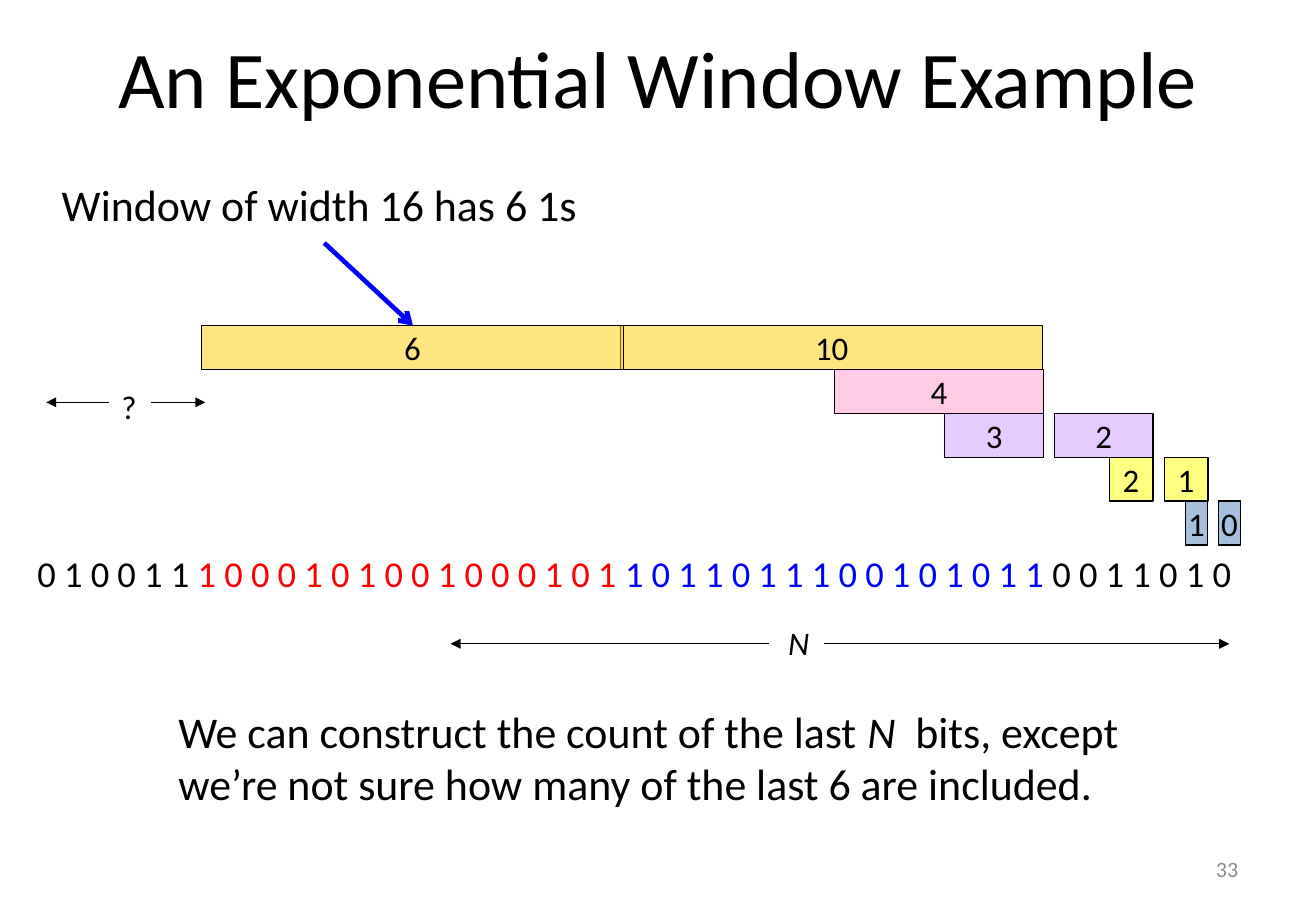
from lxml.etree import SubElement
from pptx import Presentation
from pptx.dml.color import RGBColor
from pptx.enum.shapes import MSO_CONNECTOR, MSO_SHAPE
from pptx.enum.text import MSO_ANCHOR as ANCHOR, PP_ALIGN as ALIGN
from pptx.oxml.ns import qn
from pptx.util import Pt

prs = Presentation()
prs.slide_width, prs.slide_height = Pt(780), Pt(540)
shapes = prs.slides.add_slide(prs.slide_layouts[6]).shapes


def rgb(value):
    return RGBColor.from_string(value)


def write(s, runs, size, align=ALIGN.LEFT, anchor=ANCHOR.TOP, wrap=True):
    """Fill a shape with one paragraph of (text, colour, italic) runs."""
    tf = s.text_frame
    tf.word_wrap, tf.vertical_anchor = wrap, anchor
    p = tf.paragraphs[0]
    p.alignment = align
    for text, color, italic in runs:
        r = p.add_run()
        r.text = text
        for name, value in {"name": "Calibri", "size": Pt(size), "italic": italic}.items():
            setattr(r.font, name, value)
        r.font.color.rgb = rgb(color)


# Text: left, top, width, height, runs, size, format
BLACK, RED, BLUE, GREY = "000000", "FF0000", "0000FF", "8C8C8C"
middle = {"anchor": ANCHOR.MIDDLE}
no_wrap = {"wrap": False}
texts = [
    (39, -3.6, 702, 97.2, [("An Exponential Window Example", BLACK, False)], 47.7,
     {"align": ALIGN.CENTER, **middle}),
    (29.5, 101.5, 325.5, 39, [("Window of width 16 has 6 1s", BLACK, False)], 26, no_wrap),
    (64.8, 225.4, 24, 31, [("?", BLACK, False)], 19.5, no_wrap),
    (15.1, 323.3, 740, 34, [
        ("0 1 0 0 1 1 ", BLACK, False),
        ("1 0 0 0 1 0 1 0 0 1 0 0 0 1 0 1 ", RED, False),
        ("1 0 1 1 0 1 1 1 0 0 1 0 1 0 1 1 ", BLUE, False),
        ("0 0 1 1 0 1 0", BLACK, False)], 21.6, {}),
    (460.1, 365.8, 27.4, 31, [("N", BLACK, True)], 19.5, no_wrap),
    (98.6, 414, 611.3, 70.6, [
        ("We can construct the count of the last ", BLACK, False),
        ("N", BLACK, True),
        ("  bits, except we’re not sure how many of the last 6 are included.", BLACK, False)],
     26, {}),
    (558.7, 500.4, 182.2, 28.8, [("33", GREY, False)], 13, {"align": ALIGN.RIGHT, **middle}),
]
for left, top, width, height, runs, size, fmt in texts:
    s = shapes.add_textbox(Pt(left), Pt(top), Pt(width), Pt(height))
    write(s, runs, size, **fmt)

# Bucket rows, from the widest down: colour, width, (left, count) pairs
BUCKET_TOP, BUCKET_STEP, BUCKET_HEIGHT = 193, 26, 26
bucket_rows = [
    ("FFCC00", 250, [(368, "10"), (119.5, "6")]),
    ("FF99CC", 124, [(494.6, "4")]),
    ("CC99FF", 58.5, [(560, "3"), (625, "2")]),
    ("FFFF00", 26, [(657.4, "2"), (690, "1")]),
    ("4F81BD", 13, [(702.7, "1"), (722.2, "0")]),
]
for row, (color, width, buckets) in enumerate(bucket_rows):
    for left, count in buckets:
        s = shapes.add_shape(MSO_SHAPE.RECTANGLE, Pt(left), Pt(BUCKET_TOP + row * BUCKET_STEP),
                             Pt(width), Pt(BUCKET_HEIGHT))
        s.shadow.inherit = False
        s.fill.solid()
        s.fill.fore_color.rgb = rgb(color)
        fill = s._element.spPr.find(qn("a:solidFill"))
        SubElement(fill[0], qn("a:alpha"), val="50000")
        s.line.color.rgb = rgb(BLACK)
        s.line.width = Pt(0.75)
        write(s, [(count, BLACK, False)], 19.5, ALIGN.CENTER, ANCHOR.MIDDLE, False)

# Arrows: start x, start y, end x, end y, colour, width, head
arrows = [
    (64.8, 238.5, 27.4, 238.5, BLACK, 0.75, "triangle"),
    (89.3, 238.5, 121.7, 238.5, BLACK, 0.75, "triangle"),
    (455.8, 381.6, 267.1, 381.6, BLACK, 0.75, "triangle"),
    (488.2, 381.6, 728.6, 381.6, BLACK, 0.75, "triangle"),
    (192.2, 144, 244.8, 193, BLUE, 2.75, "arrow"),
]
for x1, y1, x2, y2, color, width, head in arrows:
    s = shapes.add_connector(MSO_CONNECTOR.STRAIGHT, Pt(x1), Pt(y1), Pt(x2), Pt(y2))
    s.line.color.rgb = rgb(color)
    s.line.width = Pt(width)
    SubElement(s.line._get_or_add_ln(), qn("a:tailEnd"), type=head)
    SubElement(s._element.spPr, qn("a:effectLst"))

prs.save("out.pptx")
